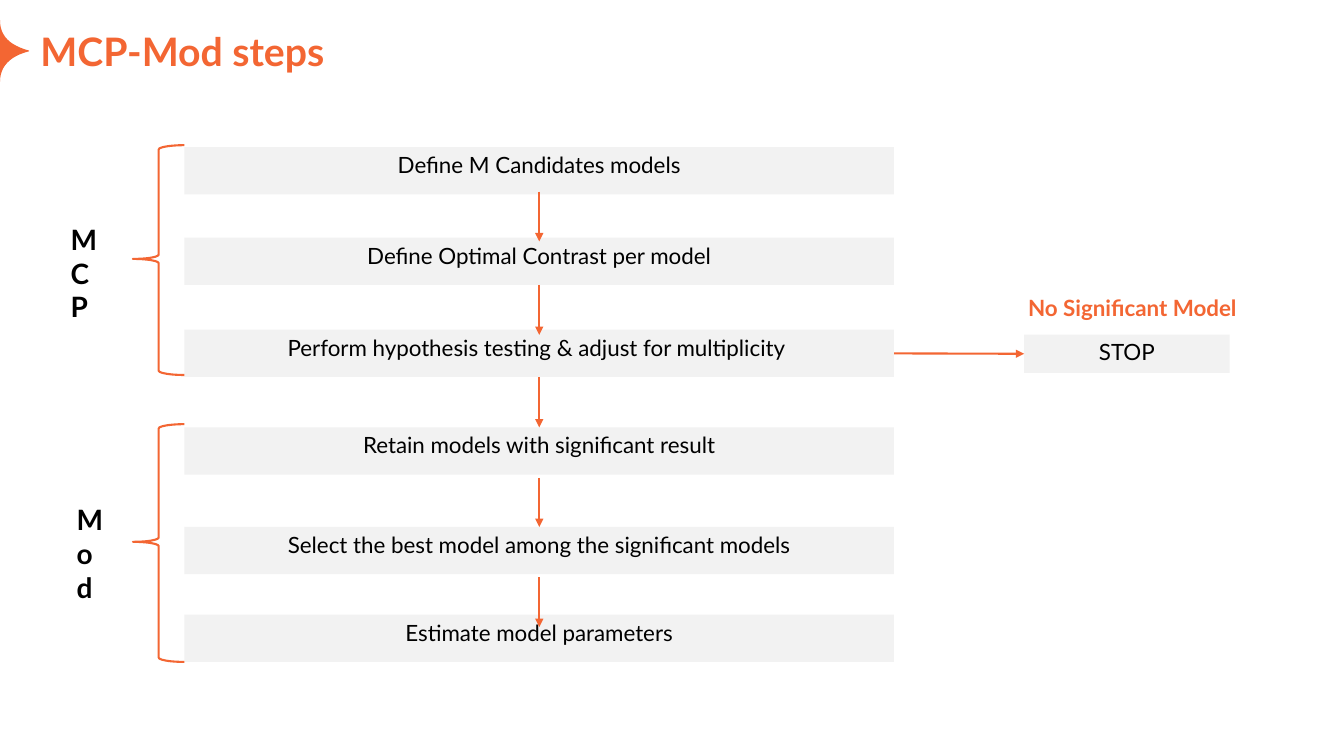
from dataclasses import dataclass

from lxml.etree import SubElement
from pptx import Presentation
from pptx.dml.color import RGBColor
from pptx.enum.shapes import MSO_CONNECTOR, MSO_SHAPE
from pptx.enum.text import MSO_ANCHOR, MSO_AUTO_SIZE, PP_ALIGN
from pptx.oxml.ns import qn
from pptx.util import Cm, Pt


@dataclass(frozen=True)
class Theme:
    """Colours, font and type sizes of the slide."""
    accent: RGBColor = RGBColor(0xF3, 0x66, 0x33)
    panel: RGBColor = RGBColor(0xF2, 0xF2, 0xF2)
    ink: RGBColor = RGBColor(0, 0, 0)
    font: str = "Lato"
    title: Pt = Pt(28)
    label: Pt = Pt(20)
    text: Pt = Pt(16)
    line: Pt = Pt(1.5)


THEME = Theme()
STEP_LEFT, STEP_WIDTH, STEP_HEIGHT = 4.65, 17.88, 1.19
ARROW_LENGTH, JOIN_TOLERANCE = 1.25, 0.05
STEPS = [
    ("Define M Candidates models", 3.71),
    ("Define Optimal Contrast per model", 5.99),
    ("Perform hypothesis testing & adjust for multiplicity ", 8.31),
    ("Retain models with significant result", 10.77),
    ("Select the best model among the significant models", 13.28),
    ("Estimate model parameters", 15.49),
]
ARROW_STARTS = [4.83, 7.19, 9.53, 12.04, 14.55]
BRACES = [(3.66, 5.79), (10.69, 5.99)]
LABELS = [
    ("MCP", (1.68, 5.51, 0.64, 2.29), THEME.label, THEME.ink),
    ("Mod", (1.83, 12.57, 0.91, 2.92), THEME.label, THEME.ink),
    ("No Significant Model", (25.81, 7.32, 6.32, 2.74), THEME.text, THEME.accent),
]
SPARK_CURVES = [
    [(0, 0.51), (0, 0.91), (0.25, 1.14), (0.71, 1.27)],
    [(0.71, 1.27), (0.74, 1.27), (0.74, 1.3), (0.71, 1.3)],
    [(0.71, 1.3), (0.25, 1.42), (0, 1.68), (0, 2.06)],
]


def set_values(target, values):
    """Set each named attribute on the target."""
    for name, value in values.items():
        setattr(target, name, value)


def write_text(shape, text, size, color, bold=False, align=PP_ALIGN.LEFT,
               anchor=MSO_ANCHOR.TOP, inset=0.1):
    """Write one formatted paragraph into a shape."""
    frame = shape.text_frame
    margins = {f"margin_{side}": Cm(inset) for side in ("left", "top", "right", "bottom")}
    set_values(frame, {"word_wrap": True, "auto_size": MSO_AUTO_SIZE.NONE,
                       "vertical_anchor": anchor, **margins})
    paragraph = frame.paragraphs[0]
    paragraph.alignment = align
    run = paragraph.add_run()
    run.text = text
    set_values(run.font, {"name": THEME.font, "size": size, "bold": bold})
    run.font.color.rgb = color


def fill_plain(shape, color):
    """Give a shape a flat fill without outline or shadow."""
    shape.shadow.inherit = False
    shape.fill.solid()
    shape.fill.fore_color.rgb = color
    shape.line.fill.background()


def draw_line(line):
    """Apply the accent line style."""
    line.color.rgb = THEME.accent
    line.width = THEME.line


def add_title(slide, text):
    """Place and fill the title placeholder."""
    title = slide.shapes.title
    set_values(title, {"left": Cm(1.02), "top": Cm(0.69), "width": Cm(31.83), "height": Cm(1.19)})
    write_text(title, text, THEME.title, THEME.accent, bold=True,
               anchor=MSO_ANCHOR.BOTTOM, inset=0)


def curve_point(curve, t):
    """Return the point of a cubic curve at t, as lengths."""
    weights = ((1 - t) ** 3, 3 * t * (1 - t) ** 2, 3 * t ** 2 * (1 - t), t ** 3)
    return tuple(Cm(sum(weight * point[axis] for weight, point in zip(weights, curve)))
                 for axis in (0, 1))


def add_spark(slide, samples=12):
    """Draw the half star at the left edge."""
    points = [curve_point(curve, index / samples)
              for curve in SPARK_CURVES for index in range(1, samples + 1)]
    builder = slide.shapes.build_freeform(*curve_point(SPARK_CURVES[0], 0))
    builder.add_line_segments(points, close=True)
    fill_plain(builder.convert_to_shape(), THEME.accent)


def add_box(slide, text, left, top, width, height):
    """Add a grey box with centred text."""
    box = slide.shapes.add_shape(MSO_SHAPE.RECTANGLE, Cm(left), Cm(top), Cm(width), Cm(height))
    fill_plain(box, THEME.panel)
    write_text(box, text, THEME.text, THEME.ink, align=PP_ALIGN.CENTER)
    return box


def add_brace(slide, top, height):
    """Add a left brace beside a group of steps."""
    brace = slide.shapes.add_shape(MSO_SHAPE.LEFT_BRACE, Cm(3.35), Cm(top), Cm(1.3), Cm(height))
    brace.shadow.inherit = False
    brace.fill.background()
    draw_line(brace.line)
    brace.adjustments[0], brace.adjustments[1] = 0.083, 0.495


def add_label(slide, text, bounds, size, color):
    """Add a bold text label."""
    label = slide.shapes.add_textbox(*map(Cm, bounds))
    write_text(label, text, size, color, bold=True)


def add_arrow(slide, start, end):
    """Add a straight arrow between two points."""
    arrow = slide.shapes.add_connector(MSO_CONNECTOR.STRAIGHT, *map(Cm, start + end))
    draw_line(arrow.line)
    properties = arrow._element.spPr
    SubElement(properties.find(qn("a:ln")), qn("a:tailEnd"), type="triangle")
    SubElement(properties, qn("a:effectLst"))
    return arrow


def add_step_arrow(slide, start, upper, lower):
    """Add a downward arrow, joined to the boxes whose sides it meets."""
    center, end = STEP_LEFT + STEP_WIDTH / 2, start + ARROW_LENGTH
    arrow = add_arrow(slide, (center, start), (center, end))
    if abs(Cm(start) - upper.top - upper.height) < Cm(JOIN_TOLERANCE):
        arrow.begin_connect(upper, 2)
    if abs(Cm(end) - lower.top) < Cm(JOIN_TOLERANCE):
        arrow.end_connect(lower, 0)


def main():
    """Build and save the slide."""
    presentation = Presentation()
    set_values(presentation, {"slide_width": Cm(33.87), "slide_height": Cm(19.05)})
    slide = presentation.slides.add_slide(presentation.slide_layouts[5])
    add_title(slide, "MCP-Mod steps")
    add_spark(slide)
    boxes = [add_box(slide, text, STEP_LEFT, top, STEP_WIDTH, STEP_HEIGHT)
             for text, top in STEPS]
    stop = add_box(slide, "STOP", 25.81, 8.43, 5.18, 0.97)
    exit_arrow = add_arrow(slide, (22.53, 8.91), (25.81, 8.91))
    exit_arrow.begin_connect(boxes[2], 3)
    exit_arrow.end_connect(stop, 1)
    for start, upper, lower in zip(ARROW_STARTS, boxes, boxes[1:]):
        add_step_arrow(slide, start, upper, lower)
    for top, height in BRACES:
        add_brace(slide, top, height)
    for label in LABELS:
        add_label(slide, *label)
    presentation.save("out.pptx")


if __name__ == "__main__":
    main()
